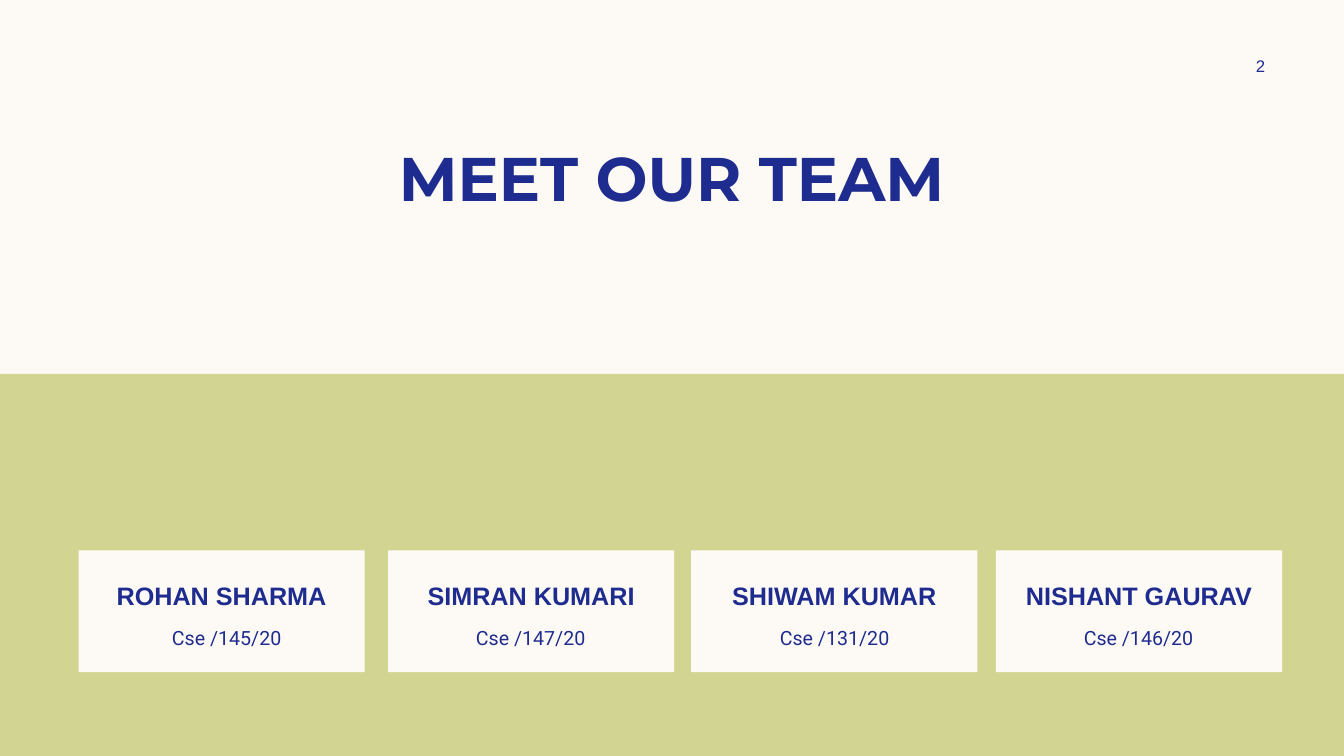
"""Build the team slide: a title above a row of member cards."""
from dataclasses import dataclass

from pptx import Presentation
from pptx.dml.color import RGBColor
from pptx.enum.shapes import MSO_SHAPE as Shape
from pptx.enum.text import MSO_ANCHOR as Anchor, MSO_AUTO_SIZE as AutoSize, PP_ALIGN as Align
from pptx.util import Cm, Pt


@dataclass(frozen=True)
class Theme:
    """Colours, fonts and type sizes of the slide."""
    cream: RGBColor = RGBColor.from_string("FDFAF6")
    green: RGBColor = RGBColor.from_string("D2D592")
    navy: RGBColor = RGBColor.from_string("1F2C8F")
    title_font: str = "Montserrat"
    name_font: str = "Arial"
    roll_font: str = "Roboto"
    title_size: int = 44
    name_size: int = 18
    roll_size: int = 14
    number_size: int = 12


THEME = Theme()
TEAM = [
    ("ROHAN SHARMA", "Cse /145/20", 1.98),
    ("SIMRAN KUMARI", "Cse /147/20", 9.78),
    ("SHIWAM KUMAR", "Cse /131/20", 17.42),
    ("NISHANT GAURAV", "Cse /146/20", 25.1),
]
ROLL_LEFT, ROLL_PITCH = 2.54, 7.66


def write(frame, wording, font_name, size, bold=False, anchor=Anchor.MIDDLE):
    """Put one centred navy line into a text frame."""
    frame.text = wording
    frame.word_wrap = True
    frame.auto_size = AutoSize.NONE
    frame.vertical_anchor = anchor
    line = frame.paragraphs[0]
    line.alignment = Align.CENTER
    font = line.runs[0].font
    font.name, font.size, font.bold = font_name, Pt(size), bold
    font.color.rgb = THEME.navy


def add_panel(slide, left, top, width, height, color):
    """Add a flat rectangle without outline or shadow."""
    panel = slide.shapes.add_shape(Shape.RECTANGLE, Cm(left), Cm(top), Cm(width), Cm(height))
    panel.shadow.inherit = False
    panel.fill.solid()
    panel.fill.fore_color.rgb = color
    panel.line.fill.background()
    return panel


def add_label(slide, left, top, width, height, wording, font_name, size):
    """Add a text box with one centred line."""
    label = slide.shapes.add_textbox(Cm(left), Cm(top), Cm(width), Cm(height))
    write(label.text_frame, wording, font_name, size)


def set_title(slide, wording):
    """Move and format the title placeholder."""
    title = slide.shapes.title
    title.left, title.top, title.width, title.height = Cm(2.11), Cm(3.38), Cm(29.64), Cm(2.13)
    write(title.text_frame, wording, THEME.title_font, THEME.title_size, bold=True)


def add_member(slide, name, roll, card_left, roll_left):
    """Add a member card with the name and the roll number."""
    card = add_panel(slide, card_left, 13.87, 7.21, 3.07, THEME.cream)
    frame = card.text_frame
    frame.margin_left = frame.margin_right = Cm(0)
    frame.margin_top, frame.margin_bottom = Cm(0.76), Cm(0.13)
    write(frame, name, THEME.name_font, THEME.name_size, bold=True, anchor=Anchor.TOP)
    add_label(slide, roll_left, 15.56, 6.35, 1.02, roll, THEME.roll_font, THEME.roll_size)


def main():
    """Assemble and save the slide."""
    deck = Presentation()
    deck.slide_width, deck.slide_height = Cm(33.87), Cm(19.05)
    slide = deck.slides.add_slide(deck.slide_layouts[5])
    slide.background.fill.solid()
    slide.background.fill.fore_color.rgb = THEME.cream
    add_panel(slide, -0.08, 9.42, 33.95, 9.63, THEME.green)
    set_title(slide, "MEET OUR TEAM")
    add_label(slide, 30.4, 1.27, 2.74, 0.76, "2", THEME.name_font, THEME.number_size)
    for place, (name, roll, card_left) in enumerate(TEAM):
        add_member(slide, name, roll, card_left, ROLL_LEFT + place * ROLL_PITCH)
    deck.save("out.pptx")


if __name__ == "__main__":
    main()
